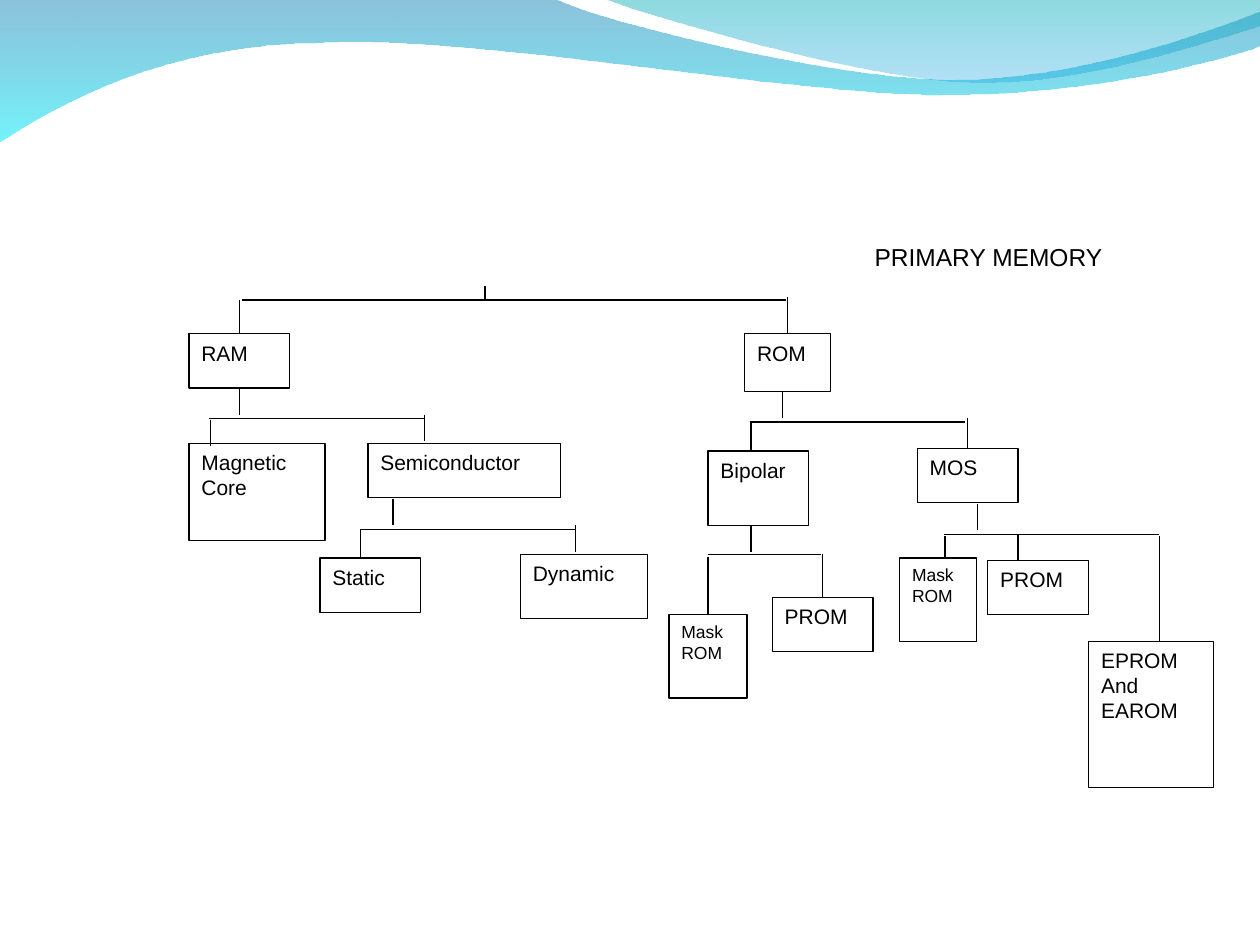
from dataclasses import dataclass
from typing import NamedTuple, Optional

from lxml.etree import SubElement
from pptx import Presentation
from pptx.dml.color import RGBColor
from pptx.enum.shapes import MSO_CONNECTOR, MSO_SHAPE
from pptx.enum.text import MSO_ANCHOR, PP_ALIGN
from pptx.oxml.ns import qn
from pptx.util import Inches, Pt


@dataclass(frozen=True)
class Theme:
    font: str = "Arial"
    ink: RGBColor = RGBColor(0, 0, 0)
    paper: RGBColor = RGBColor(255, 255, 255)
    line_width: float = 0.75
    title_size: int = 14
    node_size: int = 12
    small_size: int = 10


class Node(NamedTuple):
    key: str
    text: str
    left: float
    top: float
    width: float = 0.8
    height: float = 0.43
    size: int = Theme.node_size


class Drop(NamedTuple):
    x: float
    top: float
    bottom: float
    target: Optional[str] = None


class Branch(NamedTuple):
    stem: Drop
    bar_left: float
    bar_right: float
    bar_y: float
    drops: tuple
    parent: Optional[str] = None


class Stop(NamedTuple):
    color: str
    opacity: int


class Wave(NamedTuple):
    start: tuple
    segments: tuple
    stops: tuple


THEME = Theme()
TOP, BOTTOM = 0, 2

WAVES = (
    Wave((0, -0.01), (
        ((4.4, -0.01),),
        ((4.76, 0.17), (6.64, 0.63), (7.58, 0.63)),
        ((8.53, 0.63), (9.58, 0.26), (10, 0.09)),
        ((10.01, 0.36),),
        ((9.83, 0.44), (8.7, 0.76), (7.46, 0.75)),
        ((6.22, 0.75), (3.82, 0.28), (2.57, 0.34)),
        ((1.29, 0.35), (0.46, 0.83), (-0.01, 1.13)),
    ), (Stop("0079AF", 45), Stop("00EBF8", 55))),
    Wave((4.79, -0.01), (
        ((5.09, 0.11), (6.82, 0.62), (7.69, 0.65)),
        ((8.56, 0.69), (9.61, 0.32), (10, 0.21)),
        ((10, 0),),
    ), (Stop("00ADB6", 45), Stop("009BE5", 30))),
)

NODES = (
    Node("ram", "RAM", 1.5, 2.65),
    Node("rom", "ROM", 5.91, 2.65, 0.68, 0.46),
    Node("magnetic", "Magnetic\nCore", 1.5, 3.52, 1.08, 0.77),
    Node("semiconductor", "Semiconductor", 2.92, 3.52, 1.53),
    Node("static", "Static", 2.54, 4.43),
    Node("dynamic", "Dynamic", 4.13, 4.4, 1.01, 0.51),
    Node("bipolar", "Bipolar", 5.62, 3.58, 0.8, 0.59),
    Node("mos", "MOS", 7.28, 3.56),
    Node("bipolar_prom", "PROM", 6.13, 4.74),
    Node("bipolar_mask", "Mask\nROM", 5.31, 4.88, 0.62, 0.66, Theme.small_size),
    Node("mos_mask", "Mask\nROM", 7.14, 4.43, 0.61, 0.66, Theme.small_size),
    Node("mos_prom", "PROM", 7.84, 4.45),
    Node("eprom", "EPROM\nAnd\vEAROM", 8.64, 5.09, 0.99, 1.16),
)

BRANCHES = (
    Branch(Drop(3.85, 2.27, 2.38), 1.92, 6.24, 2.38,
           (Drop(1.9, 2.38, 2.65, "ram"), Drop(6.25, 2.36, 2.65, "rom"))),
    Branch(Drop(3.12, 3.96, 4.17), 2.86, 4.57, 4.2,
           (Drop(2.86, 4.21, 4.42), Drop(4.57, 4.17, 4.38))),
    Branch(Drop(1.9, 3.08, 3.29), 1.66, 3.37, 3.32,
           (Drop(1.67, 3.33, 3.54), Drop(3.37, 3.29, 3.5)), "ram"),
    Branch(Drop(6.21, 3.11, 3.32), 5.95, 7.66, 3.35,
           (Drop(5.96, 3.36, 3.57), Drop(7.68, 3.32, 3.56, "mos"))),
    Branch(Drop(5.96, 4.17, 4.38), 5.62, 6.52, 4.4,
           (Drop(5.62, 4.42, 4.88, "bipolar_mask"),
            Drop(6.53, 4.4, 4.74, "bipolar_prom"))),
    Branch(Drop(7.76, 4, 4.21), 7.49, 9.2, 4.24,
           (Drop(7.5, 4.25, 4.43), Drop(8.08, 4.24, 4.45), Drop(9.2, 4.25, 5.09))),
)


def bend_segments(shape, segments: tuple) -> None:
    lines = iter(list(shape.element.spPr.iter(qn("a:lnTo"))))
    for segment in segments:
        group = [next(lines) for _ in segment]
        if len(group) == 3:
            curve = SubElement(group[0].getparent(), qn("a:cubicBezTo"))
            group[0].addprevious(curve)
            for line in group:
                curve.append(line[0])
                line.getparent().remove(line)


def draw_wave(page, wave: Wave) -> None:
    points = [(Inches(x), Inches(y)) for segment in wave.segments for x, y in segment]
    builder = page.shapes.build_freeform(Inches(wave.start[0]), Inches(wave.start[1]))
    builder.add_line_segments(points, close=True)
    shape = builder.convert_to_shape()
    bend_segments(shape, wave.segments)
    shape.shadow.inherit = False
    shape.line.fill.background()
    shape.fill.gradient()
    shape.fill.gradient_angle = 270
    for stop, source, position in zip(shape.fill.gradient_stops, wave.stops, (0, 1)):
        stop.color.rgb = RGBColor.from_string(source.color)
        stop.position = position
    for color, source in zip(shape.element.spPr.iter(qn("a:srgbClr")), wave.stops):
        SubElement(color, qn("a:alpha"), val=str(source.opacity * 1000))


def write(box, text: str, size: int, alignment=PP_ALIGN.LEFT) -> None:
    frame = box.text_frame
    frame.text = text
    for paragraph in frame.paragraphs:
        paragraph.alignment = alignment
        for span in paragraph.runs:
            span.font.name = THEME.font
            span.font.size = Pt(size)
            span.font.color.rgb = THEME.ink


def draw_node(tree, node: Node):
    box = tree.shapes.add_shape(MSO_SHAPE.RECTANGLE, Inches(node.left), Inches(node.top),
                                Inches(node.width), Inches(node.height))
    box.shadow.inherit = False
    box.fill.solid()
    box.fill.fore_color.rgb = THEME.paper
    box.line.color.rgb = THEME.ink
    box.line.width = Pt(THEME.line_width)
    box.text_frame.vertical_anchor = MSO_ANCHOR.TOP
    write(box, node.text, node.size)
    return box


def draw_line(tree, x1: float, y1: float, x2: float, y2: float):
    line = tree.shapes.add_connector(MSO_CONNECTOR.STRAIGHT, Inches(x1), Inches(y1),
                                     Inches(x2), Inches(y2))
    line.line.color.rgb = THEME.ink
    line.line.width = Pt(THEME.line_width)
    SubElement(line.element.spPr, qn("a:effectLst"))
    return line


def draw_branch(tree, branch: Branch, boxes: dict) -> None:
    stem = draw_line(tree, branch.stem.x, branch.stem.top, branch.stem.x, branch.stem.bottom)
    if branch.parent:
        stem.begin_connect(boxes[branch.parent], BOTTOM)
    draw_line(tree, branch.bar_left, branch.bar_y, branch.bar_right, branch.bar_y)
    for drop in branch.drops:
        line = draw_line(tree, drop.x, drop.top, drop.x, drop.bottom)
        if drop.target:
            line.end_connect(boxes[drop.target], TOP)


def main() -> None:
    deck = Presentation()
    deck.slide_width, deck.slide_height = Inches(10), Inches(7.5)
    page = deck.slides.add_slide(deck.slide_layouts[6])
    for wave in WAVES:
        draw_wave(page, wave)
    tree = page.shapes.add_group_shape()
    boxes = {node.key: draw_node(tree, node) for node in NODES}
    for branch in BRANCHES:
        draw_branch(tree, branch, boxes)
    title = tree.shapes.add_textbox(Inches(6.2), Inches(1.63), Inches(2.67), Inches(0.57))
    title.text_frame.word_wrap = True
    title.text_frame.margin_right = Inches(0.12)
    title.text_frame.vertical_anchor = MSO_ANCHOR.BOTTOM
    write(title, "PRIMARY MEMORY", THEME.title_size, PP_ALIGN.RIGHT)
    deck.save("out.pptx")


if __name__ == "__main__":
    main()
